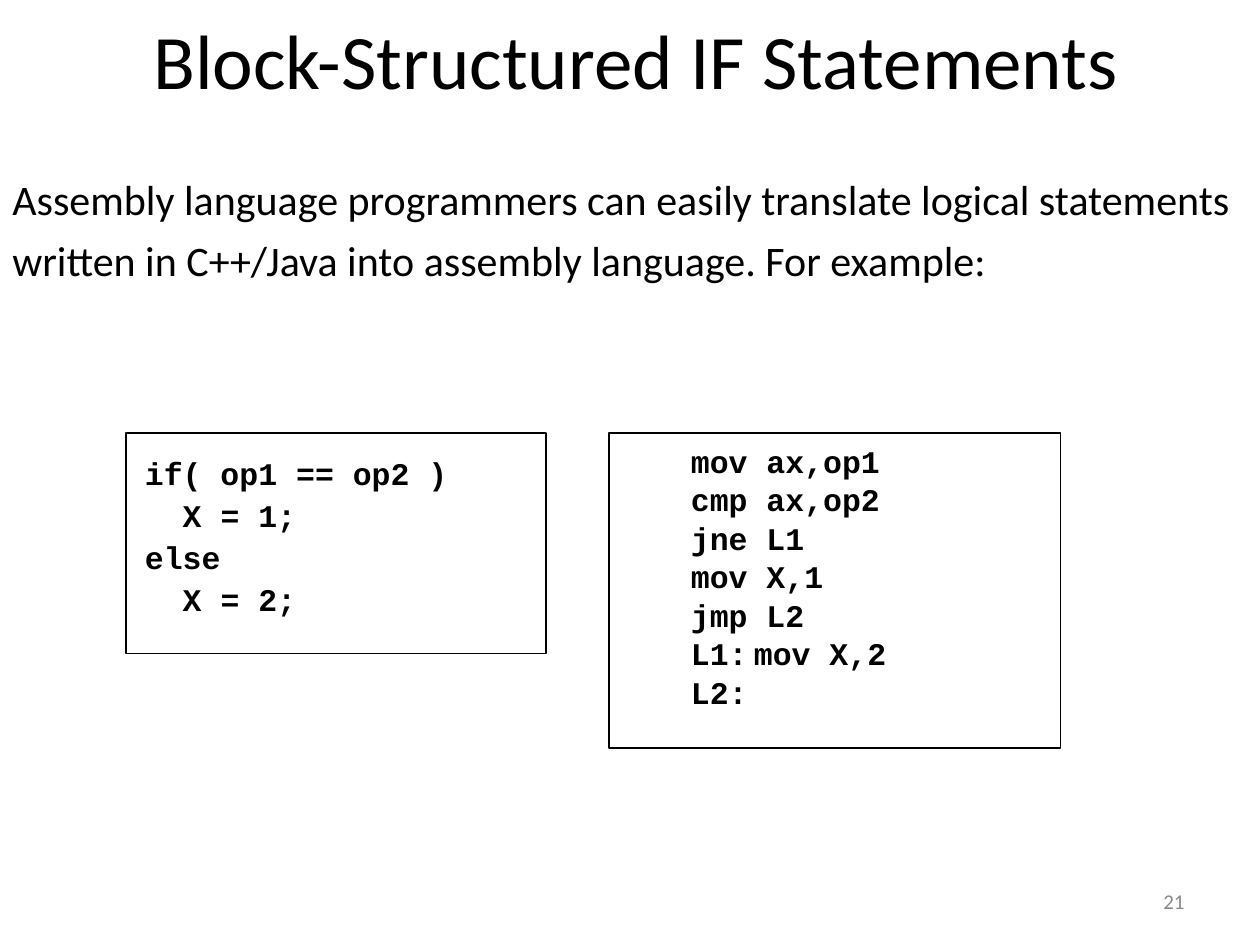
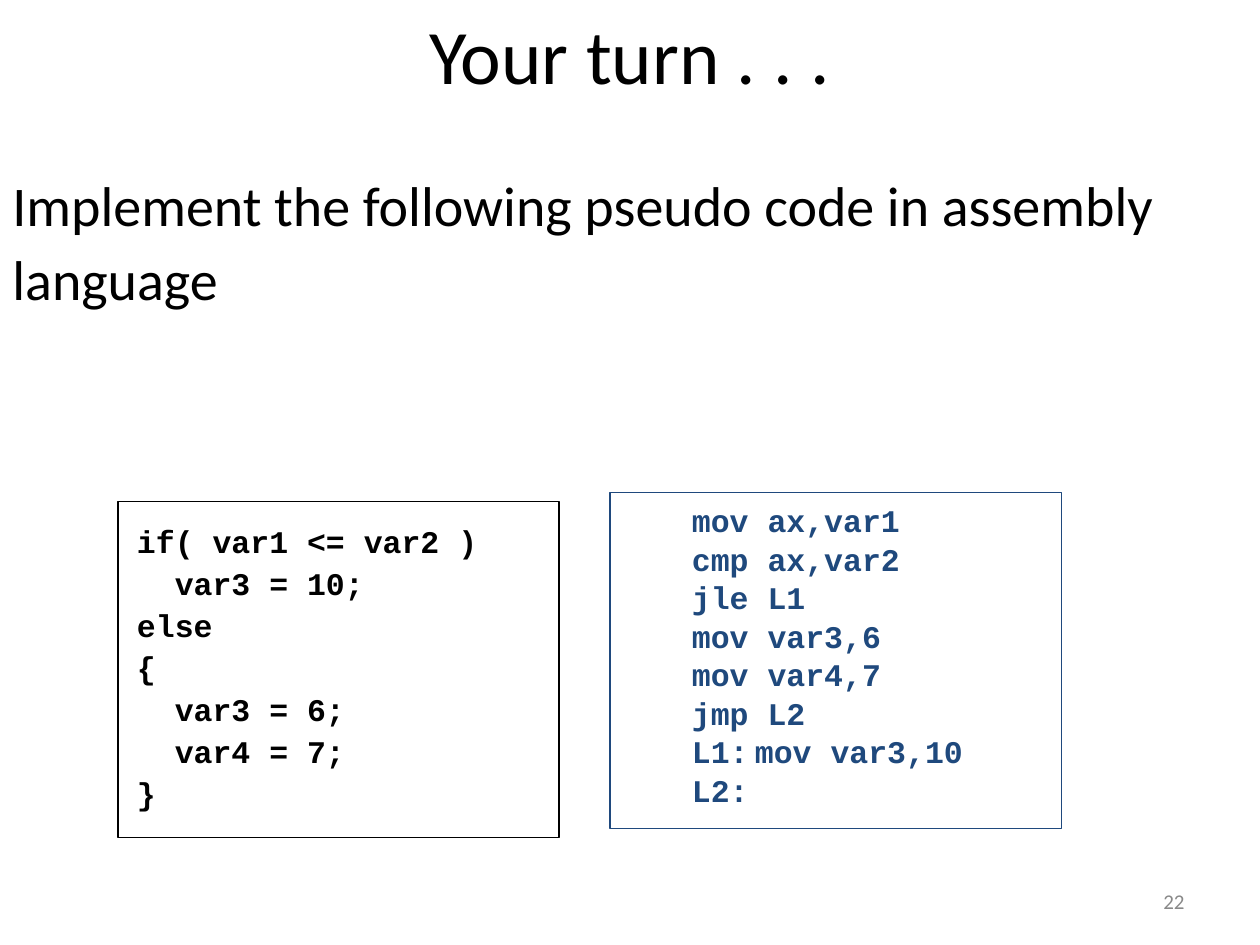
import pptx
import pptx.dml.color
import pptx.enum.shapes
import pptx.enum.text
import pptx.oxml.ns
import pptx.util
from lxml import etree

Pt = pptx.util.Pt
Inches = pptx.util.Inches
ALIGN = pptx.enum.text.PP_ALIGN
ANCHOR = pptx.enum.text.MSO_ANCHOR

COLORS = {"ink": "000000", "answer": "1F497D", "number": "898989"}
COLUMNS, ROWS = 120, 90
INDENT = 0.3
TAB = 0.5

STYLES = {
    "title": {
        "frame": {"vertical_anchor": ANCHOR.MIDDLE},
        "para": {"alignment": ALIGN.CENTER},
        "font": {"name": "Calibri", "size": Pt(44)},
    },
    "wide_body": {
        "frame": {"vertical_anchor": ANCHOR.TOP},
        "para": {"line_spacing": 1.2, "space_before": Pt(6)},
        "font": {"name": "Calibri", "size": Pt(24)},
    },
    "large_body": {
        "frame": {"vertical_anchor": ANCHOR.TOP},
        "para": {"line_spacing": 1.1, "space_before": Pt(8)},
        "font": {"name": "Calibri", "size": Pt(32)},
    },
    "number": {
        "frame": {"vertical_anchor": ANCHOR.MIDDLE},
        "para": {"alignment": ALIGN.RIGHT},
        "font": {"name": "Calibri", "size": Pt(12)},
    },
    "assembly": {
        "frame": {"vertical_anchor": ANCHOR.TOP, "margin_left": Inches(0.65), "margin_right": Inches(0.15),
                  "margin_top": Inches(0.2), "margin_bottom": Inches(0.2)},
        "para": {"alignment": ALIGN.LEFT, "line_spacing": 0.5, "space_before": Pt(11.2)},
        "font": {"name": "Courier New", "size": Pt(18), "bold": True},
    },
    "pseudo": {
        "frame": {"vertical_anchor": ANCHOR.TOP, "margin_left": Inches(0.15), "margin_right": Inches(0.15),
                  "margin_top": Inches(0.2), "margin_bottom": Inches(0.2)},
        "para": {"alignment": ALIGN.LEFT, "line_spacing": 0.9, "space_before": Pt(4.5)},
        "font": {"name": "Courier New", "size": Pt(18), "bold": True},
    },
}

PAGES = [
    {
        "title": ("Block-Structured IF Statements", (6.6, 0, 108, 11.25)),
        "body": ("Assembly language programmers can easily translate logical statements "
                 "written in C++/Java into assembly language. For example:",
                 (0, 15, 120, 17), "wide_body"),
        "assembly": (["mov ax,op1", "cmp ax,op2", "jne L1", "mov X,1", "jmp L2", "L1:\tmov X,2", "L2:"],
                     (58, 41.25, 43, 30), "ink"),
        "pseudo": ([(0, "if( op1 == op2 )"), (1, "X = 1;"), (0, "else"), (1, "X = 2;")],
                   (12, 41.25, 40, 21)),
        "number": "21",
    },
    {
        "title": ("Your turn . . .", (6, 0, 108, 10.3)),
        "body": ("Implement the following pseudo code in assembly language",
                 (0, 15, 120, 16), "large_body"),
        "assembly": (["mov ax,var1", "cmp ax,var2", "jle L1", "mov var3,6", "mov var4,7", "jmp L2",
                      "L1:\tmov var3,10", "L2:"],
                     (58.1, 46.9, 43, 32), "answer"),
        "pseudo": ([(0, "if( var1 <= var2 )"), (1, "var3 = 10;"), (0, "else"), (0, "{"),
                    (1, "var3 = 6;"), (1, "var4 = 7;"), (0, "}")],
                   (11.25, 47.75, 42, 32)),
        "number": "22",
    },
]

deck = pptx.Presentation()
deck.slide_width, deck.slide_height = Inches(10), Inches(7.5)
column, row = deck.slide_width / COLUMNS, deck.slide_height / ROWS


def place(cell):
    return [int(value * unit) for value, unit in zip(cell, (column, row, column, row))]


def write(box, lines, style, color):
    frame = box.text_frame
    frame.word_wrap = True
    for name, value in STYLES[style]["frame"].items():
        setattr(frame, name, value)
    for index, (level, text) in enumerate(lines):
        para = frame.add_paragraph() if index else frame.paragraphs[0]
        for name, value in STYLES[style]["para"].items():
            setattr(para, name, value)
        span = para.add_run()
        span.text = text
        for name, value in STYLES[style]["font"].items():
            setattr(span.font, name, value)
        span.font.color.rgb = pptx.dml.color.RGBColor.from_string(COLORS[color])
        properties = para._p.get_or_add_pPr()
        if level:
            properties.set("marL", str(Inches(level * INDENT)))
        if "\t" in text:
            tabs = etree.SubElement(properties, pptx.oxml.ns.qn("a:tabLst"))
            etree.SubElement(tabs, pptx.oxml.ns.qn("a:tab"), pos=str(Inches(TAB)), algn="l")


for content in PAGES:
    page = deck.slides.add_slide(deck.slide_layouts[6])
    title, title_cell = content["title"]
    body, body_cell, body_style = content["body"]
    for text, cell, style, color in [
        (title, title_cell, "title", "ink"),
        (body, body_cell, body_style, "ink"),
        (content["number"], (86, 83.4, 28, 4.8), "number", "number"),
    ]:
        write(page.shapes.add_textbox(*place(cell)), [(0, text)], style, color)

    instructions, assembly_cell, assembly_color = content["assembly"]
    statements, pseudo_cell = content["pseudo"]
    for lines, cell, style, color in [
        ([(0, line) for line in instructions], assembly_cell, "assembly", assembly_color),
        (statements, pseudo_cell, "pseudo", "ink"),
    ]:
        box = page.shapes.add_shape(pptx.enum.shapes.MSO_SHAPE.RECTANGLE, *place(cell))
        box.shadow.inherit = False
        box.fill.background()
        box.line.color.rgb = pptx.dml.color.RGBColor.from_string(COLORS[color])
        box.line.width = Pt(0.75)
        write(box, lines, style, color)

deck.save("out.pptx")
